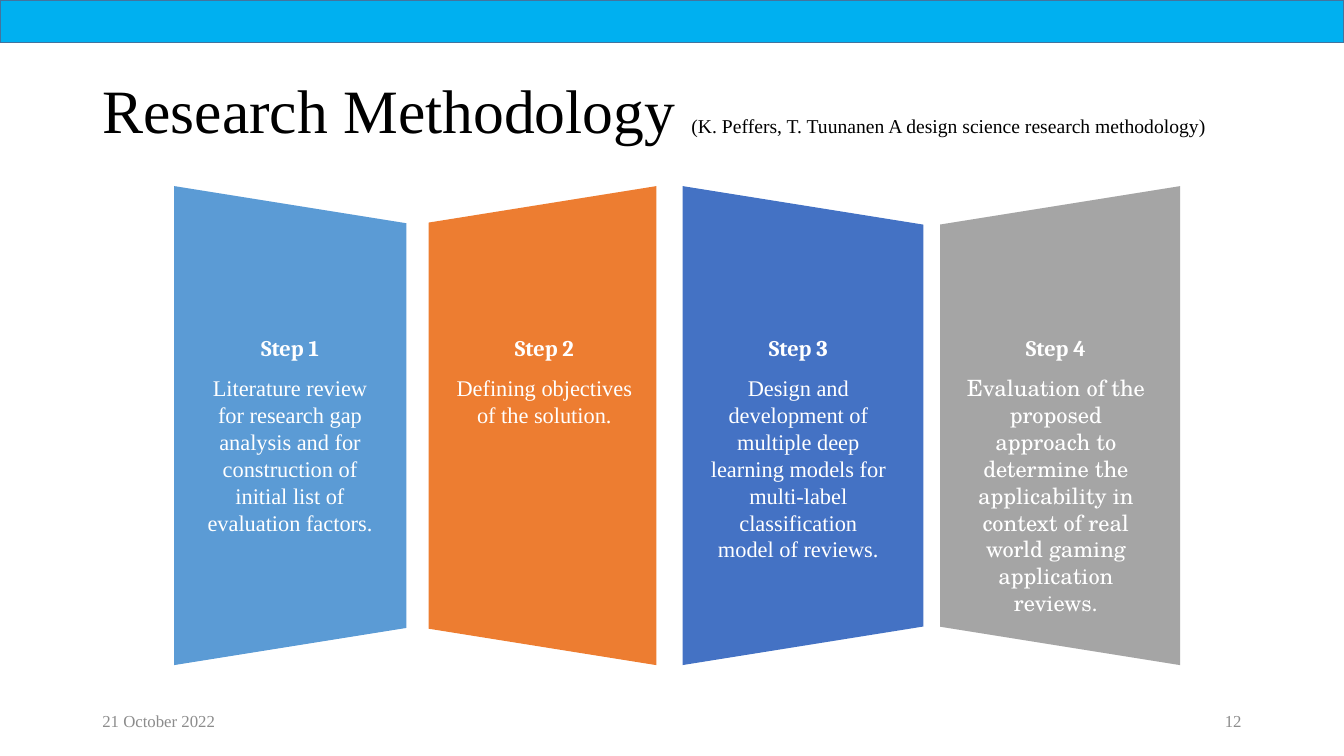
from pptx import Presentation
from pptx.dml.color import RGBColor
from pptx.enum.shapes import MSO_SHAPE as Shape
from pptx.enum.text import MSO_ANCHOR as Anchor, MSO_AUTO_SIZE as Auto, PP_ALIGN as Align
from pptx.util import Cm, Pt

SKY = RGBColor(0x00, 0xB0, 0xF0)
EDGE = RGBColor(0x43, 0x73, 0x9E)
BLUE = RGBColor(0x5B, 0x9B, 0xD5)
ORANGE = RGBColor(0xED, 0x7D, 0x31)
NAVY = RGBColor(0x44, 0x72, 0xC4)
GREY = RGBColor(0xA5, 0xA5, 0xA5)
MUTED = RGBColor(0x8C, 0x8C, 0x8C)
WHITE = RGBColor(0xFF, 0xFF, 0xFF)
BLACK = RGBColor(0x00, 0x00, 0x00)
TIMES = "Times New Roman"

STEPS = [
    (4.39, 5.85, BLUE, TIMES, "Literature review for research gap analysis and for "
     "construction of initial list of evaluation factors."),
    (10.8, 5.74, ORANGE, TIMES, "Defining objectives of the solution."),
    (17.2, 6.07, NAVY, TIMES, "Design and development of multiple deep learning models "
     "for multi-label classification model of reviews."),
    (23.69, 6.05, GREY, "TeX Gyre Schola", "Evaluation of the proposed approach to determine "
     "the applicability in context of real world gaming application reviews."),
]


def write(para, text, size=16, font=TIMES, color=WHITE, bold=False, align=Align.CENTER):
    """Add a formatted run to a paragraph."""
    para.alignment = align
    run = para.add_run()
    run.text = text
    run.font.size = Pt(size)
    run.font.name = font
    run.font.bold = bold
    run.font.color.rgb = color


def label(slide, box, text, anchor=Anchor.TOP, **look):
    """Add a wrapping text box in the given box."""
    frame = slide.shapes.add_textbox(*map(Cm, box)).text_frame
    frame.word_wrap = True
    frame.vertical_anchor = anchor
    write(frame.paragraphs[0], text, **look)


def band(slide, box):
    """Draw the coloured band."""
    bar = slide.shapes.add_shape(Shape.RECTANGLE, *map(Cm, box))
    bar.shadow.inherit = False
    bar.fill.solid()
    bar.fill.fore_color.rgb = SKY
    bar.line.color.rgb = EDGE
    bar.line.width = Pt(1)


def heading(slide, box):
    """Place the title with its citation."""
    title = slide.shapes.title
    title.left, title.top, title.width, title.height = map(Cm, box)
    frame = title.text_frame
    frame.auto_size = Auto.NONE
    frame.vertical_anchor = Anchor.MIDDLE
    para = frame.paragraphs[0]
    para.line_spacing = 0.9
    write(para, "Research Methodology ", size=44, color=BLACK, align=Align.LEFT)
    write(para, "(K. Peffers, T. Tuunanen A design science research methodology)",
          size=14, color=BLACK, align=Align.LEFT)


def panel(slide, box, num, color, font, text):
    """Draw one step as an upright trapezoid with its texts."""
    left, top, width, height = box
    shift = (height - width) / 2
    leaf = slide.shapes.add_shape(
        Shape.TRAPEZOID, Cm(left - shift), Cm(top + shift), Cm(height), Cm(width))
    leaf.rotation = 90 if num % 2 else 270
    leaf.adjustments[0] = 0.16
    leaf.shadow.inherit = False
    leaf.fill.solid()
    leaf.fill.fore_color.rgb = color
    leaf.line.fill.background()
    label(slide, (left + 0.42, top + 4.62, 5, 6.4), text, font=font)
    label(slide, (left + 0.42, top + 3.61, 5, 0.94), f"Step {num}", font="Cambria", bold=True)


def footer(slide, box):
    """Write the date and the slide number at the two ends."""
    left, top, width, height = box
    look = dict(size=12, color=MUTED, anchor=Anchor.MIDDLE)
    label(slide, (left, top, 7.62, height), "21 October 2022", align=Align.LEFT, **look)
    label(slide, (left + width - 7.62, top, 7.62, height), "12", align=Align.RIGHT, **look)


def main():
    """Build the slide and save it."""
    deck = Presentation()
    deck.slide_width, deck.slide_height = Cm(33.87), Cm(19.05)
    slide = deck.slides.add_slide(deck.slide_layouts[5])
    band(slide, (0, 0, 33.87, 1.07))
    heading(slide, (2.33, 1.02, 29.21, 3.68))
    for num, (left, width, *look) in enumerate(STEPS, 1):
        panel(slide, (left, 4.69, width, 12.07), num, *look)
    footer(slide, (2.33, 17.65, 29.21, 1.02))
    deck.save("out.pptx")


if __name__ == "__main__":
    main()
